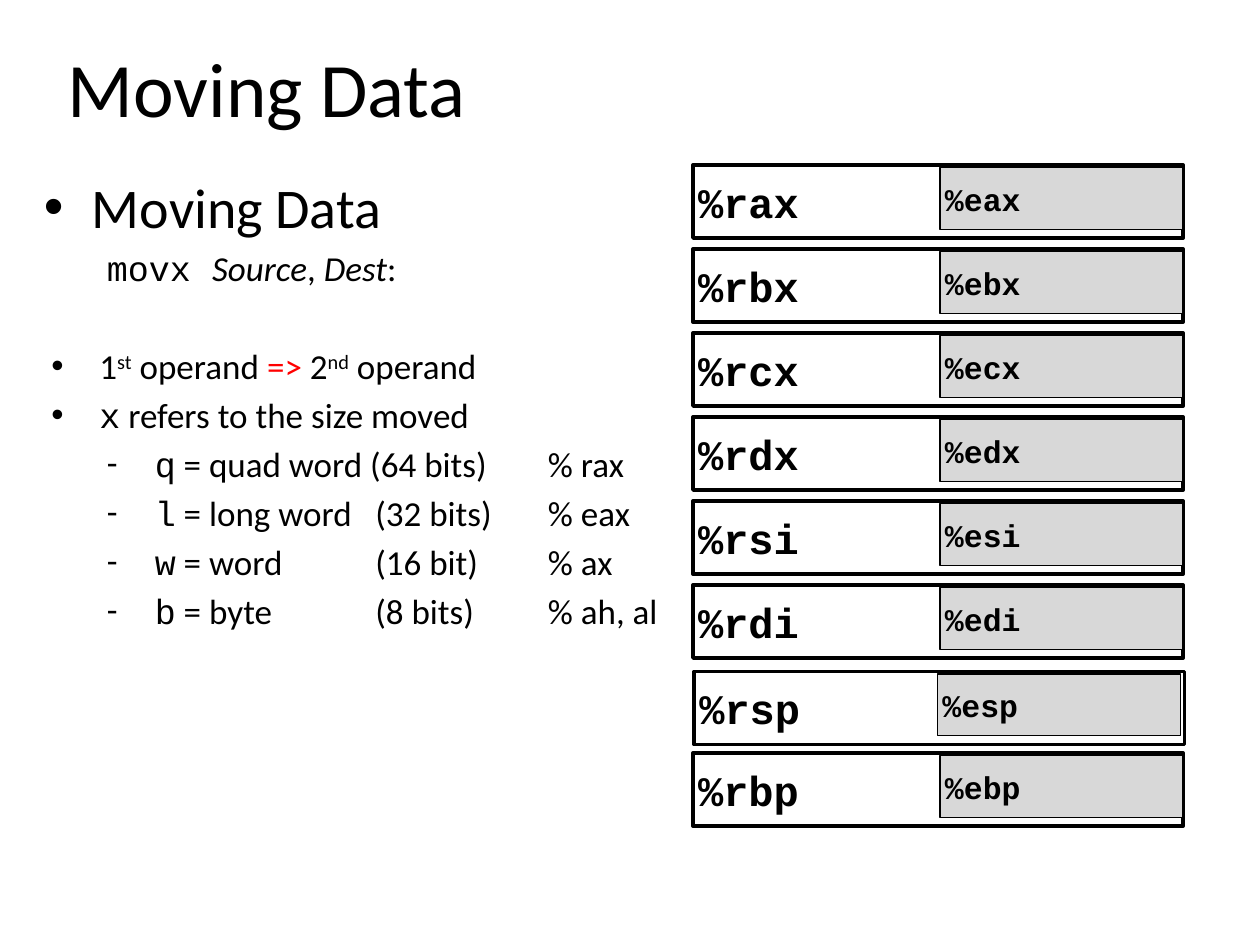
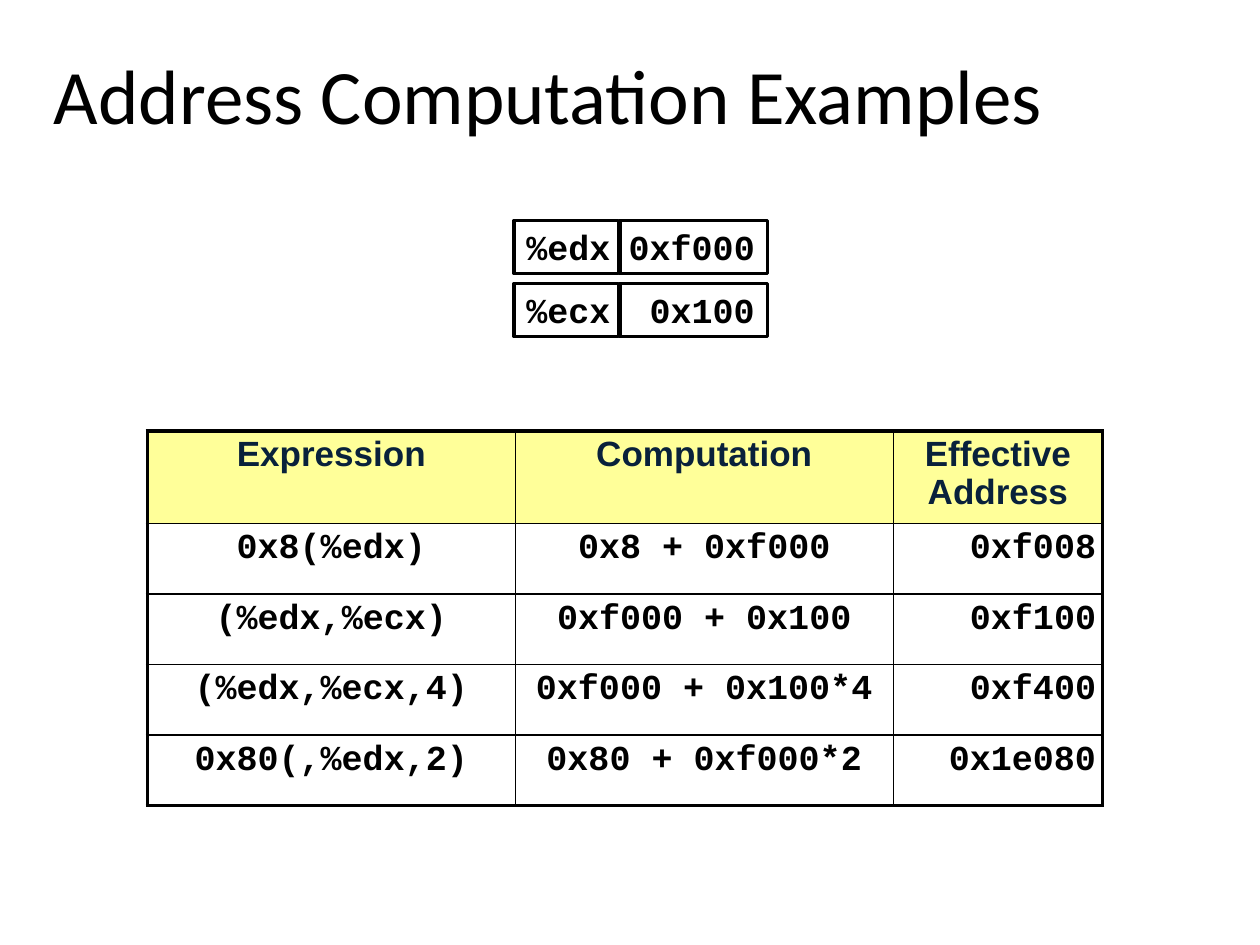
from lxml.etree import SubElement
from pptx import Presentation
from pptx.dml.color import RGBColor
from pptx.enum.shapes import MSO_SHAPE
from pptx.enum.text import MSO_ANCHOR, PP_ALIGN
from pptx.oxml.ns import qn
from pptx.util import Emu, Inches, Pt

BLACK = RGBColor(0, 0, 0)
WHITE = RGBColor(255, 255, 255)
RED = RGBColor(255, 0, 0)
GREY = RGBColor(0xD8, 0xD8, 0xD8)
YELLOW = RGBColor(0xFF, 0xFF, 0x99)
NAVY = RGBColor(0x09, 0x21, 0x3B)
SANS, MONO, HEAD = "Calibri", "Courier New", "Arial"
LEFT, MID, RIGHT = PP_ALIGN.LEFT, PP_ALIGN.CENTER, PP_ALIGN.RIGHT

CODE = {"face": MONO}
ITALIC = {"italic": True}
SUPER = {"lift": 30}

# (bullet, margin, hang, size, space before, runs)
SIZES = [
    ("q", " = quad word (64 bits)\t% rax"),
    ("l", " = long word\t(32 bits)\t% eax"),
    ("w", " = word\t(16 bit)\t% ax"),
    ("b", " = byte\t(8 bits)\t% ah, al"),
]
POINTS = [
    ("•", 0.38, 0.38, 32, 6.4, [("Moving Data", {})]),
    ("", 0.81, 0.31, 20, 4, [("movx ", CODE), ("Source", ITALIC), (", ", {}),
                             ("Dest", ITALIC), (":", {})]),
    ("•", 0.44, 0.38, 20, 32, [("1", {}), ("st", SUPER), (" operand ", {}),
                               ("=>", {"color": RED}), (" 2", {}),
                               ("nd", SUPER), (" operand", {})]),
    ("•", 0.44, 0.38, 20, 4, [("x", CODE), (" refers to the size moved", {})]),
] + [("-", 0.88, 0.38, 20, 4, [(key, CODE), (rest, {})]) for key, rest in SIZES]
TABS = (2.63, 4)

NAMES = ["ax", "bx", "cx", "dx", "si", "di", "sp", "bp"]
NUDGE = {"sp": (0.01, -0.02, 0.02)}

VALUES = [("%edx", "0xf000"), ("%ecx", "0x100")]
GRID = [
    ("Expression", "Computation", "Effective Address"),
    ("0x8(%edx)", "0x8 + 0xf000", "0xf008"),
    ("(%edx,%ecx)", "0xf000 + 0x100", "0xf100"),
    ("(%edx,%ecx,4)", "0xf000 + 0x100*4", "0xf400"),
    ("0x80(,%edx,2)", "0x80 + 0xf000*2", "0x1e080"),
]
COLS = (2.92, 3, 1.66)
ROWS = (0.73, 0.56, 0.56, 0.56, 0.56)


def add_run(para, text, size, face=SANS, color=BLACK, bold=False, italic=False, lift=0):
    run = para.add_run()
    run.text = text
    font = run.font
    font.size, font.name, font.bold, font.italic = Pt(size), face, bold, italic
    font.color.rgb = color
    if lift:
        run._r.get_or_add_rPr().set("baseline", str(lift * 1000))


def add_text(slide, *box):
    frame = slide.shapes.add_textbox(*map(Inches, box)).text_frame
    frame.word_wrap = True
    return frame


def add_title(slide, text, *box):
    add_run(add_text(slide, *box).paragraphs[0], text, 44)


def add_box(slide, box, text, size, line, fill=None, inset=None, align=LEFT):
    shape = slide.shapes.add_shape(MSO_SHAPE.RECTANGLE, *map(Inches, box))
    shape.shadow.inherit = False
    if fill is None:
        shape.fill.background()
    else:
        shape.fill.solid()
        shape.fill.fore_color.rgb = fill
    shape.line.color.rgb = BLACK
    shape.line.width = Pt(line)
    frame = shape.text_frame
    frame.vertical_anchor = MSO_ANCHOR.MIDDLE
    frame.word_wrap = inset is not None
    if inset is not None:
        set_inset(frame, inset)
    para = frame.paragraphs[0]
    para.alignment = align
    add_run(para, text, size, MONO, bold=True)


def set_inset(part, inset):
    part.margin_left = part.margin_right = Inches(inset)
    part.margin_top = part.margin_bottom = Inches(inset)


def add_point(para, mark, margin, hang, size, before, runs):
    para.space_before = Pt(before)
    props = para._p.get_or_add_pPr()
    props.set("marL", str(Inches(margin)))
    props.set("indent", str(-Inches(hang)))
    if mark:
        SubElement(props, qn("a:buFont"), typeface=HEAD if mark == "•" else SANS)
        SubElement(props, qn("a:buChar"), char=mark)
    else:
        SubElement(props, qn("a:buNone"))
    if mark == "-":
        stops = SubElement(props, qn("a:tabLst"))
        for stop in TABS:
            SubElement(stops, qn("a:tab"), pos=str(Inches(stop)), algn="l")
    for text, style in runs:
        add_run(para, text, size, **style)


def add_edges(cell, row, col):
    outer = {"L": col == 0, "R": col == len(COLS) - 1,
             "T": row == 0, "B": row == len(ROWS) - 1}
    props = cell._tc.get_or_add_tcPr()
    for side, thick in outer.items():
        edge = SubElement(props, qn("a:ln" + side), w=str(Pt(2.25 if thick else 1)))
        fill = SubElement(edge, qn("a:solidFill"))
        SubElement(fill, qn("a:srgbClr"), val=str(BLACK))


def add_grid(slide, left, top):
    frame = slide.shapes.add_table(len(ROWS), len(COLS), Inches(left), Inches(top),
                                   Inches(sum(COLS)), Inches(sum(ROWS)))
    table = frame.table
    table.first_row = table.horz_banding = False
    for col, width in enumerate(COLS):
        table.columns[col].width = Inches(width)
    for row, texts in enumerate(GRID):
        table.rows[row].height = Inches(ROWS[row])
        for col, text in enumerate(texts):
            cell = table.cell(row, col)
            set_inset(cell, 0.05)
            add_edges(cell, row, col)
            para = cell.text_frame.paragraphs[0]
            para.line_spacing = 0.95
            para.alignment = RIGHT if row and col == 2 else MID
            if row:
                cell.fill.background()
                add_run(para, text, 20, MONO, bold=True)
            else:
                cell.fill.solid()
                cell.fill.fore_color.rgb = YELLOW
                add_run(para, text, 20, HEAD, NAVY, bold=True)


def build_moves(slide):
    add_title(slide, "Moving Data", 0.44, 0.27, 9.53, 0.85)
    frame = add_text(slide, 0.25, 1.32, 5.21, 5.16)
    for at, point in enumerate(POINTS):
        add_point(frame.add_paragraph() if at else frame.paragraphs[0], *point)
    for at, name in enumerate(NAMES):
        wide, half, down = NUDGE.get(name, (0, 0, 0))
        top = 1.31 + at * 2 / 3 + down
        add_box(slide, (5.5 + wide, top, 3.89, 0.58), "%r" + name, 24, 2, inset=0.04)
        add_box(slide, (7.46 + half, top + 0.02, 1.93, 0.49), "%e" + name, 18, 0.75,
                GREY, 0.04)


def build_address(slide):
    add_title(slide, "Address Computation Examples", 0.33, 0.33, 9.67, 0.63)
    for at, (name, value) in enumerate(VALUES):
        top = 1.75 + at / 2
        add_box(slide, (4.08, top, 0.83, 0.42), name, 20, 2, WHITE)
        add_box(slide, (4.92, top, 1.17, 0.42), value, 20, 2, WHITE, align=RIGHT)
    add_grid(slide, 1.17, 3.42)


def main():
    deck = Presentation()
    deck.slide_width, deck.slide_height = Inches(10), Inches(7.5)
    for build in (build_moves, build_address):
        build(deck.slides.add_slide(deck.slide_layouts[6]))
    deck.save("out.pptx")


if __name__ == "__main__":
    main()
